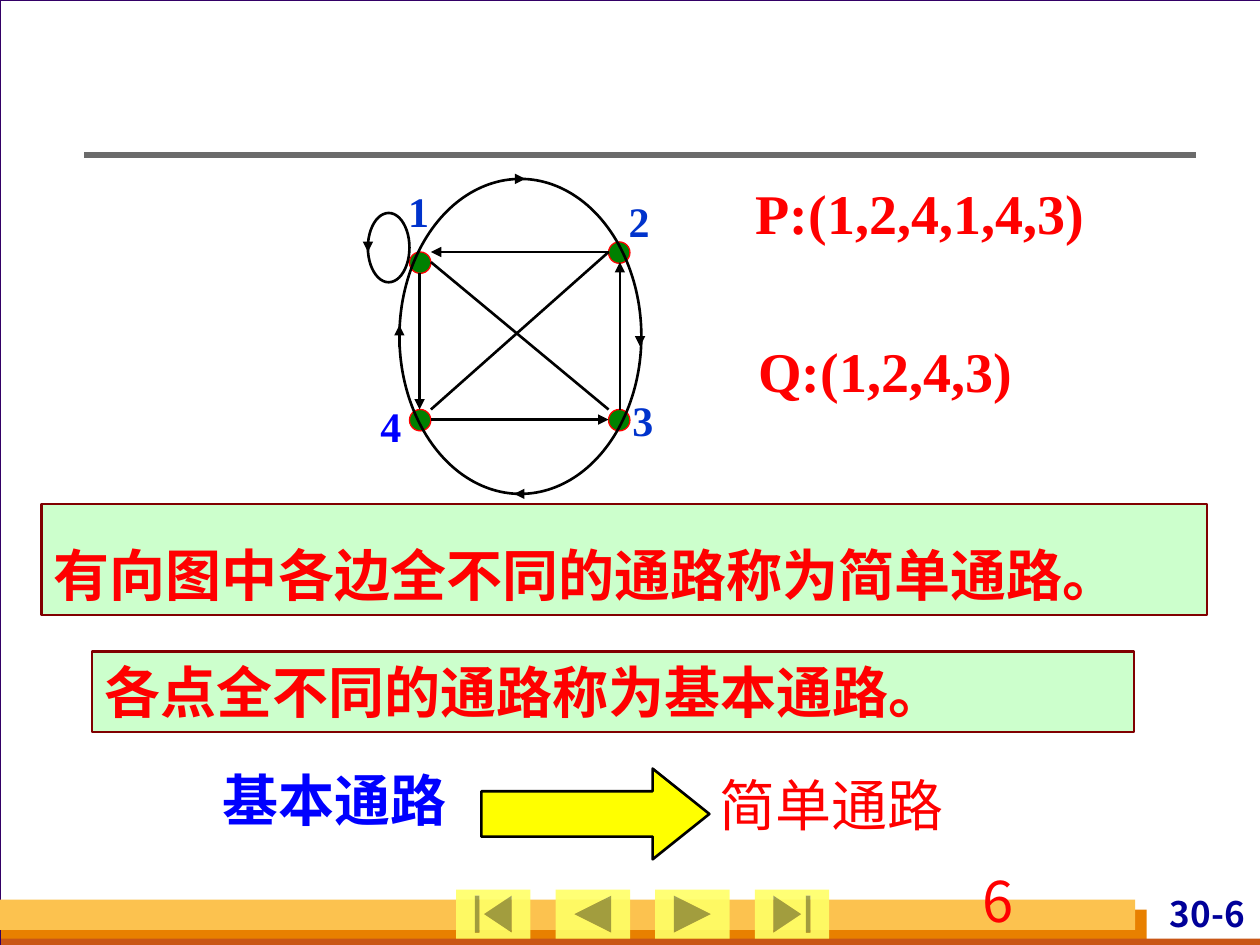
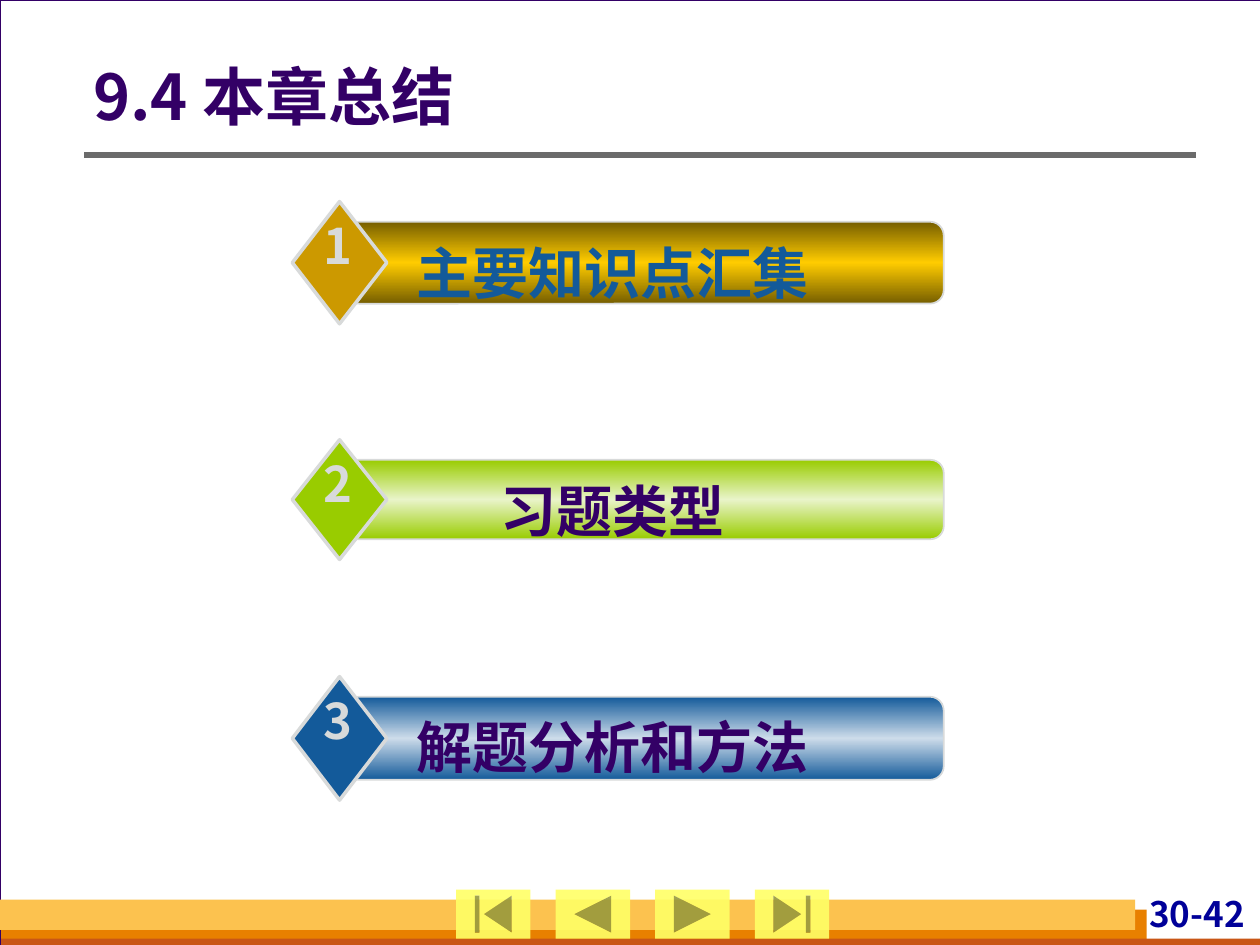
from copy import deepcopy
from dataclasses import dataclass
from typing import NamedTuple

from lxml.etree import SubElement
from pptx import Presentation
from pptx.dml.color import RGBColor
from pptx.enum.shapes import MSO_CONNECTOR, MSO_SHAPE
from pptx.enum.text import MSO_ANCHOR, MSO_AUTO_SIZE, PP_ALIGN
from pptx.oxml.ns import qn
from pptx.util import Emu, Pt

EMU_PER_PX = 9144  # 100 px to the inch


@dataclass(frozen=True)
class Theme:
    sans: str = "Noto Sans CJK SC"
    serif: str = "Times New Roman"
    backdrop: str = "D8DADA"
    page: str = "FFFFFF"
    purple: str = "330066"
    rule: str = "6B6B6B"
    band_light: str = "FCC24F"
    band: str = "E88000"
    band_dark: str = "C95616"
    button: str = "FFFF66"
    page_number: str = "000099"
    red: str = "FF0000"
    blue: str = "0000FF"
    vertex_label: str = "0033CC"
    vertex: str = "008000"
    ink: str = "000000"
    definition: str = "CCFFCC"
    definition_edge: str = "800000"
    arrow: str = "FFFF00"
    steel: str = "135A9A"
    title_size: int = 36
    body_size: int = 32
    badge_size: int = 28
    vertex_size: int = 24
    number_size: int = 20


THEME = Theme()


class Box(NamedTuple):
    left: int
    top: int
    width: int
    height: int


class Edge(NamedTuple):
    x1: int
    y1: int
    x2: int
    y2: int
    directed: bool = True


class Vertex(NamedTuple):
    label: str
    label_left: int
    label_top: int
    left: int
    top: int
    color: str = THEME.vertex_label


class Topic(NamedTuple):
    number: str
    text: str
    top: int
    height: int
    rim: str
    middle: str
    badge: str
    color: str = THEME.purple


BANDS = [
    (Box(1, 722, 909, 28), THEME.band),
    (Box(1, 745, 999, 5), THEME.band_dark),
    (Box(0, 714, 901, 24), THEME.band_light),
]
BUTTONS = [
    MSO_SHAPE.ACTION_BUTTON_BEGINNING,
    MSO_SHAPE.ACTION_BUTTON_BACK_OR_PREVIOUS,
    MSO_SHAPE.ACTION_BUTTON_FORWARD_OR_NEXT,
    MSO_SHAPE.ACTION_BUTTON_END,
]
BUTTON_LEFT, BUTTON_STEP = 362, 79

VERTICES = [
    Vertex("1", 314, 142, 325, 200),
    Vertex("2", 489, 150, 483, 192),
    Vertex("3", 492, 308, 483, 325),
    Vertex("4", 292, 313, 325, 325, THEME.blue),
]
EDGES = [
    Edge(342, 325, 483, 200, directed=False),
    Edge(342, 208, 483, 325, directed=False),
    Edge(483, 200, 342, 200),
    Edge(333, 217, 333, 325),
    Edge(342, 333, 483, 333),
    Edge(492, 325, 492, 208),
]
LOOP = Box(292, 169, 33, 55)
RING = Box(317, 142, 192, 250)
CURVE_MARKS = [
    Edge(292, 192, 292, 200),
    Edge(408, 142, 417, 142),
    Edge(508, 267, 508, 275),
    Edge(417, 392, 408, 392),
    Edge(317, 275, 317, 258),
]

TOPICS = [
    Topic("1", "主要知识点汇集", 176, 65, "765E00", "FFCC00", "CC9900", THEME.steel),
    Topic("2", "习题类型", 365, 63, "99CC00", "E9F4C9", "99CC00"),
    Topic("3", "解题分析和方法", 553, 66, THEME.steel, "CDDCEA", THEME.steel),
]
BADGE_OVERHANG = 16


def px(length: int) -> Emu:
    return Emu(length * EMU_PER_PX)


def rgb(color: str) -> RGBColor:
    return RGBColor.from_string(color)


def write_text(frame, text: str, *, color: str, size: int = THEME.body_size,
               font: str = THEME.sans, bold: bool = True, align=PP_ALIGN.LEFT,
               anchor=MSO_ANCHOR.TOP, spacing: float | None = None,
               insets: tuple[int, int, int, int] = (10, 5, 10, 5)) -> None:
    frame.word_wrap = True
    frame.auto_size = MSO_AUTO_SIZE.NONE
    frame.vertical_anchor = anchor
    (frame.margin_left, frame.margin_top,
     frame.margin_right, frame.margin_bottom) = map(px, insets)
    paragraph = frame.paragraphs[0]
    paragraph.alignment = align
    if spacing:
        paragraph.line_spacing = spacing
    run = paragraph.add_run()
    run.text = text
    run.font.size = Pt(size)
    run.font.bold = bold
    run.font.color.rgb = rgb(color)
    run.font.name = font
    # East Asian glyphs take their face from a separate element.
    SubElement(run.font._element, qn("a:ea")).set("typeface", font)


def add_text(shapes, box: Box, text: str, **text_format) -> None:
    write_text(shapes.add_textbox(*map(px, box)).text_frame, text, **text_format)


def add_figure(shapes, kind, box: Box, *, fill: str | None = None,
               line: str | None = None, weight: float = 1.5):
    figure = shapes.add_shape(kind, *map(px, box))
    figure.shadow.inherit = False
    if fill:
        figure.fill.solid()
        figure.fill.fore_color.rgb = rgb(fill)
    else:
        figure.fill.background()
    if line:
        figure.line.color.rgb = rgb(line)
        figure.line.width = Pt(weight)
    else:
        figure.line.fill.background()
    return figure


def add_edge(shapes, edge: Edge, color: str = THEME.ink, weight: float = 1.5) -> None:
    connector = shapes.add_connector(MSO_CONNECTOR.STRAIGHT, *map(px, edge[:4]))
    connector.line.color.rgb = rgb(color)
    connector.line.width = Pt(weight)
    if edge.directed:
        SubElement(connector.line._get_or_add_ln(), qn("a:tailEnd")).set("type", "triangle")
    SubElement(connector.element.spPr, qn("a:effectLst"))


def fill_with_sheen(figure, rim: str, middle: str) -> None:
    """Fill with a vertical gradient running rim, middle, rim."""
    figure.fill.gradient()
    figure.fill.gradient_angle = 90
    stop_list = figure.element.xpath(".//a:gsLst")[0]
    stop_list.append(deepcopy(stop_list[-1]))
    for stop, position, color in zip(figure.fill.gradient_stops, (0, 0.5, 1), (rim, middle, rim)):
        stop.position = position
        stop.color.rgb = rgb(color)


def decorate_master(deck, slide) -> None:
    """Draw the shared frame, bands, rule and buttons, then hand them to the master."""
    master = deck.slide_master
    master.background.fill.solid()
    master.background.fill.fore_color.rgb = rgb(THEME.backdrop)
    shapes = slide.shapes
    add_figure(shapes, MSO_SHAPE.RECTANGLE, Box(0, 0, 1001, 750),
               fill=THEME.page, line=THEME.purple, weight=0.75)
    for box, color in BANDS:
        add_figure(shapes, MSO_SHAPE.RECTANGLE, box, fill=color)
    add_edge(shapes, Edge(67, 123, 949, 123, directed=False), THEME.rule, 3)
    for index, kind in enumerate(BUTTONS):
        box = Box(BUTTON_LEFT + index * BUTTON_STEP, 706, 59, 39)
        button = add_figure(shapes, kind, box, fill=THEME.button)
        tint = button.element.spPr.xpath("./a:solidFill/a:srgbClr")[0]
        SubElement(tint, qn("a:alpha")).set("val", "90000")
    for number, shape in enumerate(list(shapes), start=101):
        shape.element.xpath(".//p:cNvPr")[0].set("id", str(number))
        master.shapes.element.append(shape.element)


def add_page_number(slide, text: str) -> None:
    add_text(slide.shapes, Box(870, 708, 122, 38), text, color=THEME.page_number,
             size=THEME.number_size, align=PP_ALIGN.RIGHT, insets=(4, 0, 4, 0))


def add_vertex(shapes, vertex: Vertex) -> None:
    add_figure(shapes, MSO_SHAPE.OVAL, Box(vertex.left, vertex.top, 17, 17),
               fill=THEME.vertex, line=THEME.red, weight=0.75)
    add_text(shapes, Box(vertex.label_left, vertex.label_top, 36, 50), vertex.label,
             color=vertex.color, size=THEME.vertex_size, font=THEME.serif)


def add_definition(shapes, box: Box, text: str, spacing: float | None = None) -> None:
    panel = add_figure(shapes, MSO_SHAPE.RECTANGLE, box,
                       fill=THEME.definition, line=THEME.definition_edge)
    write_text(panel.text_frame, text, color=THEME.red, spacing=spacing)


def build_paths_slide(slide) -> None:
    shapes = slide.shapes
    add_page_number(slide, "30-6")
    add_definition(shapes, Box(33, 400, 925, 88),
                   "有向图中各边全不同的通路称为简单通路。", spacing=1.45)
    add_definition(shapes, Box(73, 517, 827, 64), "各点全不同的通路称为基本通路。")

    for vertex in VERTICES:
        add_vertex(shapes, vertex)
    for edge in EDGES + CURVE_MARKS:
        add_edge(shapes, edge)
    for curve in (LOOP, RING):
        add_figure(shapes, MSO_SHAPE.OVAL, curve, line=THEME.ink)

    add_text(shapes, Box(590, 137, 368, 64), "P:(1,2,4,1,4,3)",
             color=THEME.red, font=THEME.serif)
    add_text(shapes, Box(592, 262, 368, 64), "Q:(1,2,4,3)",
             color=THEME.red, font=THEME.serif)

    implication = shapes.add_group_shape().shapes
    add_text(implication, Box(167, 603, 213, 64), "基本通路", color=THEME.blue)
    arrow = add_figure(implication, MSO_SHAPE.RIGHT_ARROW, Box(382, 610, 181, 72),
                       fill=THEME.arrow, line=THEME.ink)
    arrow.adjustments[1] = 0.625
    add_text(implication, Box(561, 607, 314, 64), "简单通路", color=THEME.red, bold=False)
    add_text(shapes, Box(770, 683, 208, 50), "6", color=THEME.red, bold=False)


def add_topic(shapes, topic: Topic) -> None:
    bar = add_figure(shapes, MSO_SHAPE.ROUNDED_RECTANGLE,
                     Box(274, topic.top, 475, topic.height), line=THEME.backdrop, weight=1)
    fill_with_sheen(bar, topic.rim, topic.middle)
    add_figure(shapes, MSO_SHAPE.DIAMOND,
               Box(232, topic.top - BADGE_OVERHANG, 75, topic.height + 2 * BADGE_OVERHANG),
               fill=topic.badge, line=THEME.backdrop, weight=2)
    add_text(shapes, Box(299, topic.top + 8, 375, 64), topic.text,
             color=topic.color, align=PP_ALIGN.CENTER)
    add_text(shapes, Box(247, topic.top - 10, 42, 57), topic.number,
             color=THEME.backdrop, size=THEME.badge_size, align=PP_ALIGN.CENTER)


def build_summary_slide(slide) -> None:
    title = slide.shapes.title
    title.left, title.top, title.width, title.height = map(px, Box(74, 41, 868, 77))
    write_text(title.text_frame, "9.4 本章总结", color=THEME.purple, size=THEME.title_size,
               anchor=MSO_ANCHOR.MIDDLE, spacing=0.9, insets=(0, 5, 10, 5))
    add_page_number(slide, "30-42")
    for topic in TOPICS:
        add_topic(slide.shapes.add_group_shape().shapes, topic)


def main() -> None:
    deck = Presentation()
    deck.slide_width, deck.slide_height = px(1000), px(750)
    title_only, blank = deck.slide_layouts[5], deck.slide_layouts[6]
    paths = deck.slides.add_slide(blank)
    decorate_master(deck, paths)
    build_paths_slide(paths)
    build_summary_slide(deck.slides.add_slide(title_only))
    deck.save("out.pptx")


if __name__ == "__main__":
    main()
